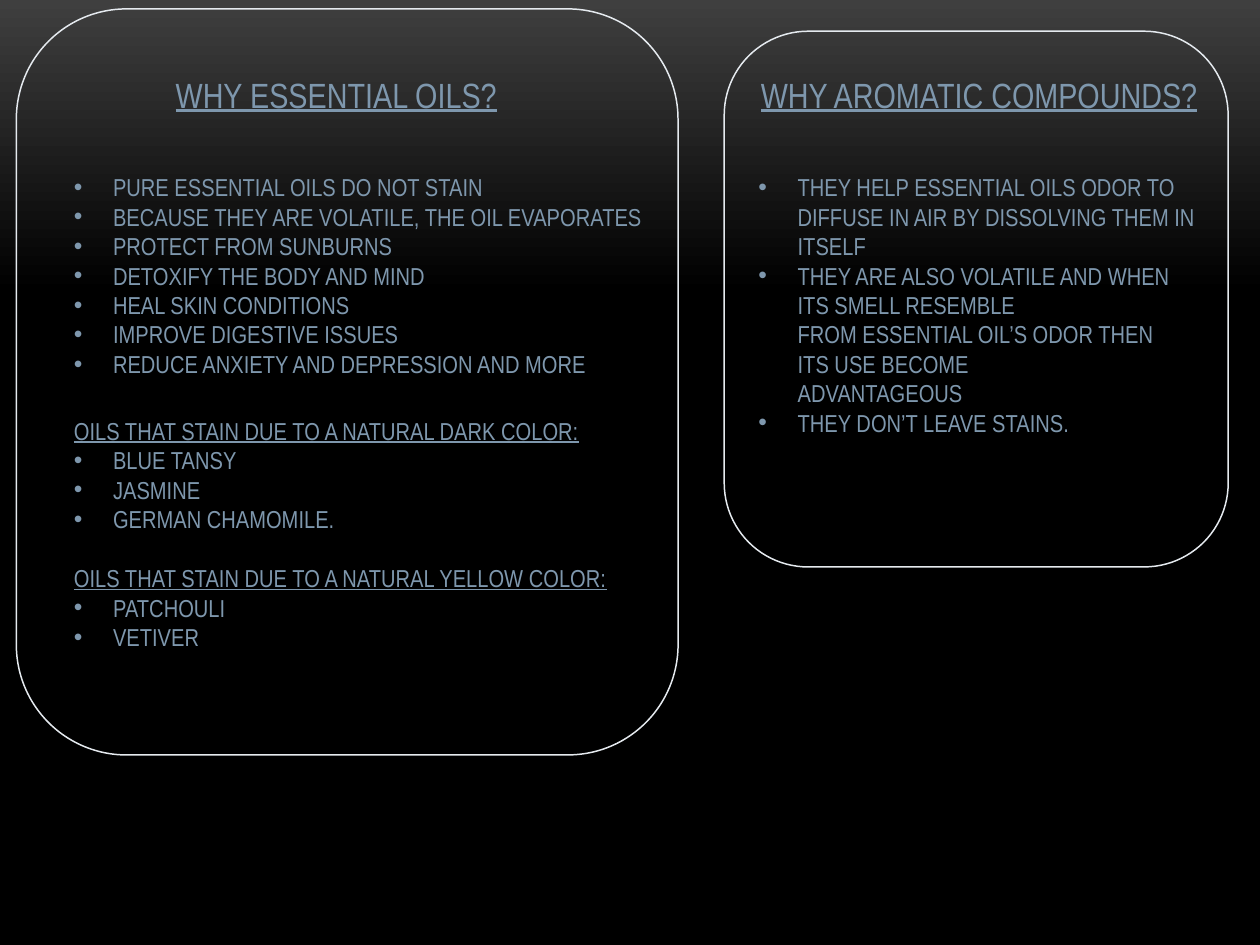
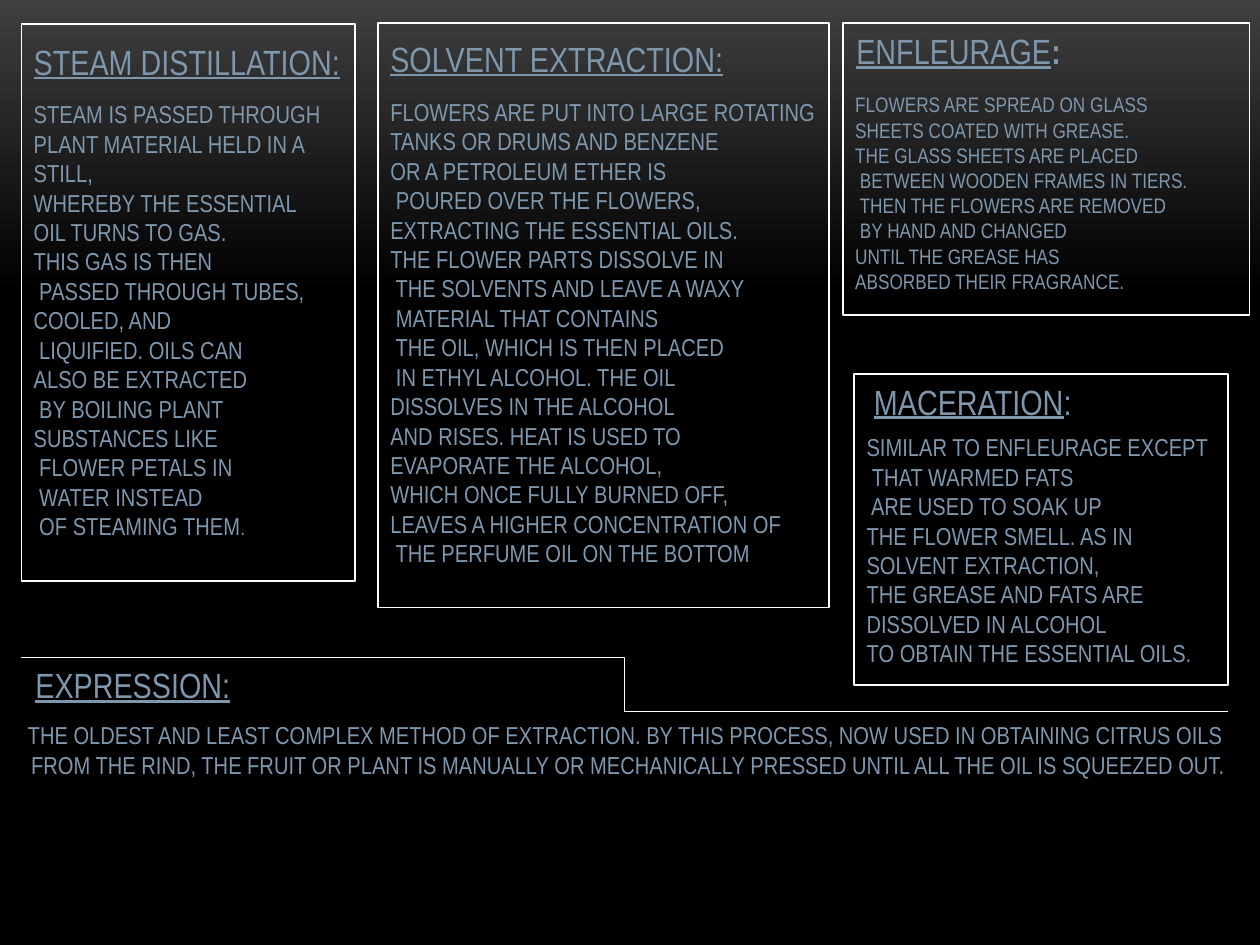
from dataclasses import dataclass

from lxml import etree
from pptx import Presentation
from pptx.dml.color import RGBColor
from pptx.enum.shapes import MSO_CONNECTOR, MSO_SHAPE
from pptx.enum.text import MSO_AUTO_SIZE, PP_ALIGN
from pptx.oxml.ns import qn
from pptx.util import Cm, Pt

LEFT, CENTER = PP_ALIGN.LEFT, PP_ALIGN.CENTER
FIT_SHAPE = MSO_AUTO_SIZE.SHAPE_TO_FIT_TEXT
RECTANGLE, ROUNDED = MSO_SHAPE.RECTANGLE, MSO_SHAPE.ROUNDED_RECTANGLE
ELBOW = MSO_CONNECTOR.ELBOW

# Shared look
FONT = "Arial Narrow"
TEXT_COLOR = "7E97AD"
SOFT_LINE = "E5EAEF"
WHITE = "FFFFFF"
GRADIENT = ((0, "3F3F3F"), (0.31, "000000"))
HEADING_SIZE, BODY_SIZE, SMALL_SIZE = 20, 14, 12
HEADING_HEIGHT = 1.12
BULLET_INDENT = 0.79


@dataclass(frozen=True)
class Span:
    text: str
    size: int = BODY_SIZE
    underline: bool = False
    bold: bool = False


@dataclass(frozen=True)
class Line:
    spans: tuple[Span, ...]
    indented: bool = False
    bullet: bool = False


@dataclass(frozen=True)
class TextBlock:
    left: float
    top: float
    width: float
    height: float
    lines: tuple[Line, ...]
    align: PP_ALIGN = LEFT
    wrap: bool = False


@dataclass(frozen=True)
class Frame:
    left: float
    top: float
    width: float
    height: float
    kind: MSO_SHAPE = RECTANGLE
    color: str = WHITE


def rgb(value: str) -> RGBColor:
    return RGBColor.from_string(value)


# Builders of text content
def plain(text: str, size: int = BODY_SIZE) -> tuple[Line, ...]:
    return tuple(Line((Span(row, size),)) for row in text.split("\n"))


def bullets(*items: str) -> tuple[Line, ...]:
    """The first row of an item has the bullet, further rows align with it."""
    return tuple(
        Line((Span(row),), indented=True, bullet=index == 0)
        for item in items
        for index, row in enumerate(item.split("\n"))
    )


def underlined(text: str, size: int = BODY_SIZE) -> Line:
    return Line((Span(text, size, underline=True),))


def heading(left: float, top: float, width: float, text: str,
            *tail: Span, align: PP_ALIGN = CENTER) -> TextBlock:
    line = Line(underlined(text, HEADING_SIZE).spans + tail)
    return TextBlock(left, top, width, HEADING_HEIGHT, (line,), align)


# Drawing
def new_page(deck):
    page = deck.slides.add_slide(deck.slide_layouts[6])
    fill = page.background.fill
    fill.gradient()
    fill.gradient_angle = 270
    for stop, (position, color) in zip(fill.gradient_stops, GRADIENT):
        stop.position = position
        stop.color.rgb = rgb(color)
    return page


def set_indent(para, bullet: bool) -> None:
    properties = para._p.get_or_add_pPr()
    properties.set("marL", str(Cm(BULLET_INDENT)))
    properties.set("indent", str(-Cm(BULLET_INDENT) if bullet else 0))
    if bullet:
        etree.SubElement(properties, qn("a:buFont")).set("typeface", "Arial")
        etree.SubElement(properties, qn("a:buChar")).set("char", "•")


def draw_text(page, block: TextBlock) -> None:
    box = page.shapes.add_textbox(
        Cm(block.left), Cm(block.top), Cm(block.width), Cm(block.height))
    frame = box.text_frame
    frame.word_wrap = block.wrap
    frame.auto_size = FIT_SHAPE
    for index, line in enumerate(block.lines):
        para = frame.add_paragraph() if index else frame.paragraphs[0]
        para.alignment = block.align
        if line.indented:
            set_indent(para, line.bullet)
        for span in line.spans:
            run = para.add_run()
            run.text = span.text
            formats = {"name": FONT, "size": Pt(span.size),
                       "underline": span.underline, "bold": span.bold}
            for name, value in formats.items():
                setattr(run.font, name, value)
            run.font.color.rgb = rgb(TEXT_COLOR)


def draw_frame(page, frame: Frame) -> None:
    shape = page.shapes.add_shape(
        frame.kind, Cm(frame.left), Cm(frame.top),
        Cm(frame.width), Cm(frame.height))
    shape.shadow.inherit = False
    shape.fill.background()
    shape.line.color.rgb = rgb(frame.color)
    shape.line.width = Pt(0.85)


def draw_divider(page, left: float, top: float,
                 right: float, bottom: float) -> None:
    divider = page.shapes.add_connector(
        ELBOW, Cm(left), Cm(top), Cm(right), Cm(bottom))
    divider.line.color.rgb = rgb(WHITE)
    divider.line.width = Pt(0.75)
    etree.SubElement(divider._element.spPr, qn("a:effectLst"))


def draw_all(page, blocks: tuple[TextBlock, ...],
             frames: tuple[Frame, ...]) -> None:
    for block in blocks:
        draw_text(page, block)
    for frame in frames:
        draw_frame(page, frame)


# Slide 1: reasons for oils and for aromatic compounds
REASON_BLOCKS = (
    heading(3.25, 1.35, 7.06, "WHY ESSENTIAL OILS?"),
    TextBlock(1.24, 3.35, 12.04, 4.45, bullets(
        "PURE ESSENTIAL OILS DO NOT STAIN",
        "BECAUSE THEY ARE VOLATILE, THE OIL EVAPORATES",
        "PROTECT FROM SUNBURNS",
        "DETOXIFY THE BODY AND MIND",
        "HEAL SKIN CONDITIONS",
        "IMPROVE DIGESTIVE ISSUES",
        "REDUCE ANXIETY AND DEPRESSION AND MORE")),
    TextBlock(1.24, 8.26, 11.05, 2.64, (
        underlined("OILS THAT STAIN DUE TO A NATURAL DARK COLOR:"),
        *bullets("BLUE TANSY", "JASMINE", "GERMAN CHAMOMILE."))),
    TextBlock(1.24, 11.23, 11.3, 2.06, (
        underlined("OILS THAT STAIN DUE TO A NATURAL YELLOW COLOR:"),
        *bullets("PATCHOULI", "VETIVER"))),
    heading(15.04, 1.35, 9.4, "WHY AROMATIC COMPOUNDS?"),
    TextBlock(15.04, 3.35, 9.5, 5.64, bullets(
        """THEY HELP ESSENTIAL OILS ODOR TO
DIFFUSE IN AIR BY DISSOLVING THEM IN
ITSELF""",
        """THEY ARE ALSO VOLATILE AND WHEN
ITS SMELL RESEMBLE
FROM ESSENTIAL OIL’S ODOR THEN
ITS USE BECOME
ADVANTAGEOUS""",
        "THEY DON’T LEAVE STAINS.")),
)
REASON_FRAMES = (
    Frame(0.33, 0.18, 13.34, 15.04, ROUNDED, SOFT_LINE),
    Frame(14.6, 0.63, 10.16, 10.8, ROUNDED, SOFT_LINE),
)

# Slide 2: extraction methods
STEAM = """STEAM IS PASSED THROUGH
PLANT MATERIAL HELD IN A STILL,
WHEREBY THE ESSENTIAL
OIL TURNS TO GAS.
THIS GAS IS THEN
 PASSED THROUGH TUBES,
COOLED, AND
 LIQUIFIED. OILS CAN
ALSO BE EXTRACTED
 BY BOILING PLANT
SUBSTANCES LIKE
 FLOWER PETALS IN
 WATER INSTEAD"""
STEAM_END = Line((Span(" OF STEAMING THEM"), Span(".", SMALL_SIZE)))
SOLVENT = """FLOWERS ARE PUT INTO LARGE ROTATING
TANKS OR DRUMS AND BENZENE
OR A PETROLEUM ETHER IS
 POURED OVER THE FLOWERS,
EXTRACTING THE ESSENTIAL OILS.
THE FLOWER PARTS DISSOLVE IN
 THE SOLVENTS AND LEAVE A WAXY
 MATERIAL THAT CONTAINS
 THE OIL, WHICH IS THEN PLACED
 IN ETHYL ALCOHOL. THE OIL
DISSOLVES IN THE ALCOHOL
AND RISES. HEAT IS USED TO
EVAPORATE THE ALCOHOL,
WHICH ONCE FULLY BURNED OFF,
LEAVES A HIGHER CONCENTRATION OF
 THE PERFUME OIL ON THE BOTTOM"""
ENFLEURAGE = """FLOWERS ARE SPREAD ON GLASS
SHEETS COATED WITH GREASE.
THE GLASS SHEETS ARE PLACED
 BETWEEN WOODEN FRAMES IN TIERS.
 THEN THE FLOWERS ARE REMOVED
 BY HAND AND CHANGED
UNTIL THE GREASE HAS
ABSORBED THEIR FRAGRANCE."""
MACERATION = """SIMILAR TO ENFLEURAGE EXCEPT
 THAT WARMED FATS
 ARE USED TO SOAK UP
THE FLOWER SMELL. AS IN
SOLVENT EXTRACTION,
THE GREASE AND FATS ARE
DISSOLVED IN ALCOHOL
TO OBTAIN THE ESSENTIAL OILS."""
EXPRESSION = (
    "THE OLDEST AND LEAST COMPLEX METHOD OF EXTRACTION. "
    "BY THIS PROCESS, NOW USED IN OBTAINING CITRUS OILS\n"
    " FROM THE RIND, THE FRUIT OR PLANT IS MANUALLY OR MECHANICALLY "
    "PRESSED UNTIL ALL THE OIL IS SQUEEZED OUT."
)
METHOD_BLOCKS = (
    heading(0.43, 0.69, 6.73, "STEAM DISTILLATION:", align=LEFT),
    TextBlock(0.43, 1.88, 6.73, 10.08, (*plain(STEAM), STEAM_END), wrap=True),
    heading(7.62, 0.63, 7.39, "SOLVENT EXTRACTION:", align=LEFT),
    TextBlock(7.62, 1.83, 9.37, 10.44, plain(SOLVENT)),
    heading(16.99, 0.48, 4.67, "ENFLEURAGE",
            Span(":", HEADING_SIZE, bold=True)),
    TextBlock(16.99, 1.73, 7.32, 4.37, plain(ENFLEURAGE, SMALL_SIZE)),
    heading(17.35, 7.54, 4.52, "MACERATION", Span(":", HEADING_SIZE)),
    TextBlock(17.22, 8.59, 7.44, 5.05, plain(MACERATION)),
    heading(0.43, 13.26, 4.5, "EXPRESSION:"),
    TextBlock(0.18, 14.4, 24.87, 2.06, plain(EXPRESSION), CENTER),
)
METHOD_FRAMES = (
    Frame(0.43, 0.48, 6.73, 11.23),
    Frame(7.62, 0.46, 9.09, 11.79),
    Frame(16.99, 0.46, 8.2, 5.89),
    Frame(17.22, 7.54, 7.54, 6.27),
)


def main() -> None:
    deck = Presentation()
    deck.slide_width, deck.slide_height = Cm(25.4), Cm(19.05)
    draw_all(new_page(deck), REASON_BLOCKS, REASON_FRAMES)
    methods = new_page(deck)
    draw_all(methods, METHOD_BLOCKS, METHOD_FRAMES)
    draw_divider(methods, 0.43, 13.26, 24.76, 14.35)
    deck.save("out.pptx")


if __name__ == "__main__":
    main()
